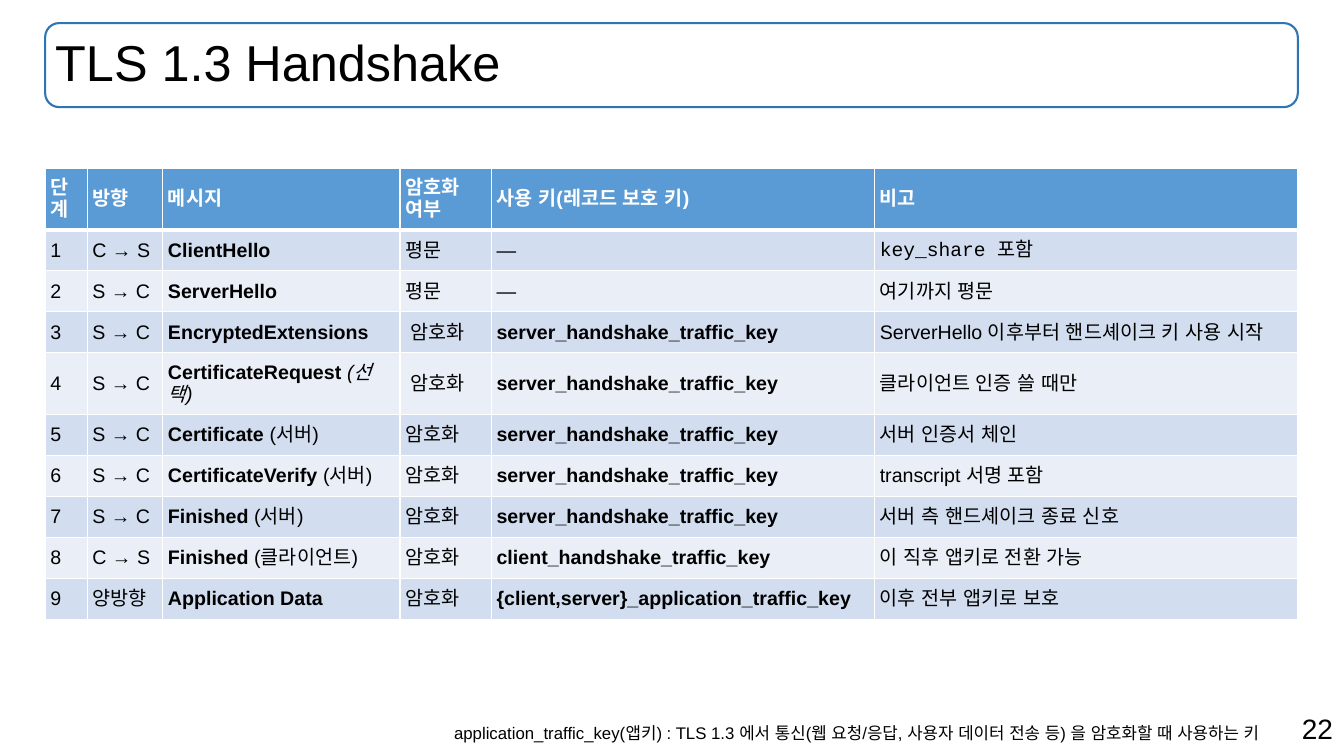
from lxml import etree
from pptx import Presentation
from pptx import util as u
from pptx.dml import color
from pptx.enum import shapes, text
from pptx.oxml import ns

PX = 9525
FONT = "Arial"
BLACK, WHITE = "000000", "FFFFFF"
HEADER_FILL = "5B9BD5"
BAND_FILLS = ("D2DEEF", "EAEFF7")
COL_WIDTHS = (40, 72, 226, 87, 365, 403)
ROW_HEIGHT, TWO_LINE_HEIGHT = 39, 59
TWO_LINE_ROWS = (0, 4)
BOLD_COLS = (2, 4)
TITLE_BOX = (43, 22, 1193, 80)

TO_SERVER, TO_CLIENT = "C → S", "S → C"
PLAIN, ENCRYPTED = "평문", "암호화"
SERVER_KEY = "server_handshake_traffic_key"
NO_KEY = [("—", {"bold": False})]
HEADERS = ("단계", "방향", "메시지", "암호화 여부", "사용 키(레코드 보호 키)", "비고")


def message(name, note, **fmt):
    return [(name, {}), (note, {"bold": False, **fmt})]


STEPS = (
    (TO_SERVER, "ClientHello", PLAIN, NO_KEY,
     [("key_share ", {"font": "Courier New"}), ("포함", {})]),
    (TO_CLIENT, "ServerHello", PLAIN, NO_KEY, "여기까지 평문"),
    (TO_CLIENT, "EncryptedExtensions", " " + ENCRYPTED, SERVER_KEY,
     "ServerHello 이후부터 핸드셰이크 키 사용 시작"),
    (TO_CLIENT, message("CertificateRequest ", "(선택)", italic=True),
     " " + ENCRYPTED, SERVER_KEY, "클라이언트 인증 쓸 때만"),
    (TO_CLIENT, message("Certificate", " (서버)"), ENCRYPTED, SERVER_KEY,
     "서버 인증서 체인"),
    (TO_CLIENT, message("CertificateVerify", " (서버)"), ENCRYPTED, SERVER_KEY,
     "transcript 서명 포함"),
    (TO_CLIENT, message("Finished", " (서버)"), ENCRYPTED, SERVER_KEY,
     "서버 측 핸드셰이크 종료 신호"),
    (TO_SERVER, message("Finished", " (클라이언트)"), ENCRYPTED,
     "client_handshake_traffic_key", "이 직후 앱키로 전환 가능"),
    ("양방향", "Application Data", ENCRYPTED,
     "{client,server}_application_traffic_key", "이후 전부 앱키로 보호"),
)


def px(*lengths):
    return [n * PX for n in lengths]


def rgb(value):
    return color.RGBColor.from_string(value)


def add_run(p, content, size=14, colour=BLACK, bold=False, italic=False, font=FONT):
    r = p.add_run()
    r.text = content
    f = r.font
    f.name, f.size, f.bold, f.italic = font, u.Pt(size), bold, italic
    f.color.rgb = rgb(colour)
    etree.SubElement(r._r.get_or_add_rPr(), ns.qn("a:ea"), typeface=FONT)


def add_title(s, content):
    box = s.shapes.add_shape(shapes.MSO_SHAPE.ROUNDED_RECTANGLE, *px(*TITLE_BOX))
    box.shadow.inherit = False
    box.fill.background()
    box.line.color.rgb = rgb("2E75B6")
    box.line.width = u.Pt(1.5)
    sp = s.shapes.title
    sp.left, sp.top, sp.width, sp.height = px(*TITLE_BOX)
    tf = sp.text_frame
    tf.auto_size = text.MSO_AUTO_SIZE.NONE
    tf.vertical_anchor = text.MSO_ANCHOR.MIDDLE
    p = tf.paragraphs[0]
    p.alignment = text.PP_ALIGN.LEFT
    p.line_spacing = 0.9
    add_run(p, content, size=36)


def add_text(s, content, box, size, align=text.PP_ALIGN.LEFT):
    tf = s.shapes.add_textbox(*px(*box)).text_frame
    tf.word_wrap = True
    tf.auto_size = text.MSO_AUTO_SIZE.SHAPE_TO_FIT_TEXT
    p = tf.paragraphs[0]
    p.alignment = align
    add_run(p, content, size=size)


def set_borders(cell, **widths):
    tc_pr = cell._tc.get_or_add_tcPr()
    for side in "LRTB":
        width = u.Pt(widths.get(side, 1))
        ln = etree.SubElement(tc_pr, ns.qn("a:ln" + side), w=str(width))
        fill = etree.SubElement(ln, ns.qn("a:solidFill"))
        etree.SubElement(fill, ns.qn("a:srgbClr"), val=WHITE)


def fill_cell(cell, content, fill, borders, **fmt):
    set_borders(cell, **borders)
    cell.fill.solid()
    cell.fill.fore_color.rgb = rgb(fill)
    cell.vertical_anchor = text.MSO_ANCHOR.MIDDLE
    cell.margin_left, cell.margin_right = px(5, 5)
    cell.margin_top, cell.margin_bottom = px(3, 3)
    runs = [(content, {})] if isinstance(content, str) else content
    for part, part_fmt in runs:
        add_run(cell.text_frame.paragraphs[0], part, **{**fmt, **part_fmt})


def add_steps_table(s, left, top):
    heights = [TWO_LINE_HEIGHT if row in TWO_LINE_ROWS else ROW_HEIGHT
               for row in range(len(STEPS) + 1)]
    size = px(left, top, sum(COL_WIDTHS), sum(heights))
    table = s.shapes.add_table(len(heights), len(HEADERS), *size).table
    table.horz_banding = False
    for column, width in zip(table.columns, COL_WIDTHS):
        column.width = width * PX
    for row, height in zip(table.rows, heights):
        row.height = height * PX
    for col, label in enumerate(HEADERS):
        fill_cell(table.cell(0, col), label, HEADER_FILL, {"B": 3},
                  colour=WHITE, bold=True)
    for number, step in enumerate(STEPS, 1):
        borders = {"T": 3} if number == 1 else {}
        for col, content in enumerate((str(number), *step)):
            fill_cell(table.cell(number, col), content,
                      BAND_FILLS[(number - 1) % 2], borders,
                      bold=col in BOLD_COLS)


def main():
    prs = Presentation()
    prs.slide_width, prs.slide_height = px(1280, 720)
    s = prs.slides.add_slide(prs.slide_layouts[5])
    add_text(s, "22", (905, 673, 374, 42), 20, text.PP_ALIGN.RIGHT)
    add_title(s, "TLS 1.3 Handshake")
    add_steps_table(s, 43, 160)
    add_text(s, "application_traffic_key(앱키) : TLS 1.3 에서 통신(웹 요청/응답, "
             "사용자 데이터 전송 등) 을 암호화할 때 사용하는 키",
             (423, 684, 831, 29), 12)
    prs.save("out.pptx")


if __name__ == "__main__":
    main()
